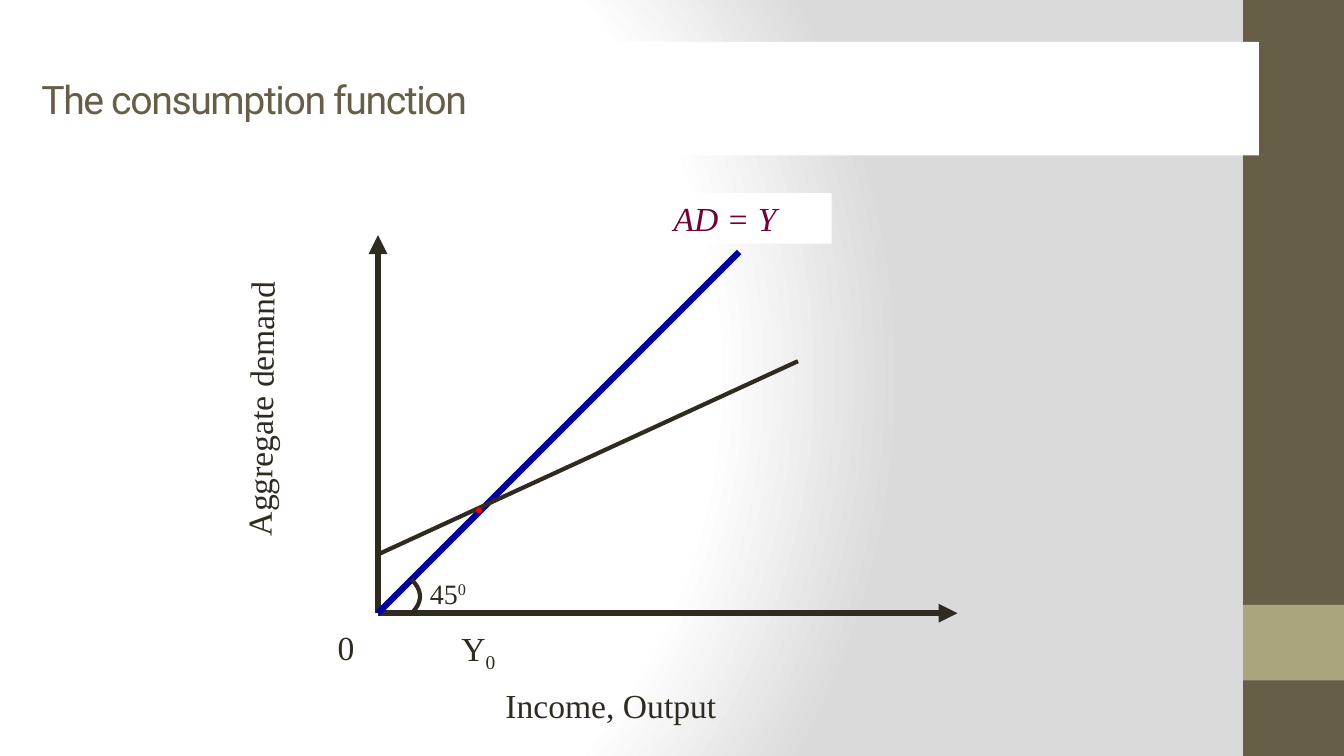
from pptx import Presentation
from pptx.dml.color import RGBColor as RGB
from pptx.enum.shapes import MSO_CONNECTOR as CONN, MSO_SHAPE as SHAPE
from pptx.enum.text import MSO_ANCHOR as ANCHOR, PP_ALIGN as ALIGN
from pptx.oxml import parse_xml
from pptx.oxml.ns import nsdecls, qn
from pptx.util import Pt
from lxml.etree import SubElement

PX = 9525
C = {
    "white": "FFFFFF", "grey": "DADADA", "brown": "675E47", "khaki": "A9A57C",
    "ink": "2F2B20", "blue": "000099", "wine": "700239", "red": "FF0000",
}

prs = Presentation()
prs.slide_width, prs.slide_height = 1280 * PX, 720 * PX
s = prs.slides.add_slide(prs.slide_layouts[6])


def rect(at, fill):
    sp = s.shapes.add_shape(SHAPE.RECTANGLE, *[v * PX for v in at])
    sp.shadow.inherit = False
    sp.fill.solid()
    sp.fill.fore_color.rgb = RGB.from_string(C[fill])
    sp.line.fill.background()
    return sp


def text(content, at, size=24, color="ink", font="Times New Roman", fill=None,
         italic=False, anchor=ANCHOR.TOP, wrap=True, rotation=0, spacing=None,
         index="", baseline=0):
    sp = rect(at, fill) if fill else s.shapes.add_textbox(*[v * PX for v in at])
    sp.rotation = rotation
    tf = sp.text_frame
    tf.word_wrap = wrap
    tf.vertical_anchor = anchor
    p = tf.paragraphs[0]
    p.alignment = ALIGN.LEFT
    for part, shift in ((content, 0), (index, baseline)):
        if not part:
            continue
        r = p.add_run()
        r.text = part
        r.font.size = Pt(size)
        r.font.name = font
        r.font.italic = italic
        r.font.color.rgb = RGB.from_string(C[color])
        rPr = r.font._element
        if shift:
            rPr.set("baseline", str(shift * 1000))
        if spacing:
            rPr.set("spc", str(spacing * 100))


s._element.cSld.insert(0, parse_xml(
    f'<p:bg {nsdecls("p", "a")}><p:bgPr><a:gradFill rotWithShape="1"><a:gsLst>'
    f'<a:gs pos="0"><a:srgbClr val="{C["white"]}"/></a:gs>'
    f'<a:gs pos="75000"><a:srgbClr val="{C["white"]}"/></a:gs>'
    f'<a:gs pos="100000"><a:srgbClr val="{C["grey"]}"/></a:gs></a:gsLst>'
    '<a:path path="circle">'
    '<a:fillToRect l="20000" t="50000" r="100000" b="50000"/></a:path>'
    '</a:gradFill><a:effectLst/></p:bgPr></p:bg>'))

rect((1184, 0, 96, 720), "brown")
rect((1184, 576, 96, 72), "khaki")
text("The consumption function", (30, 40, 1169, 108), size=28, color="brown",
     font="Roboto", fill="white", anchor=ANCHOR.MIDDLE, spacing=-1)

origin = (360, 584)
for start, end, color, width, arrow in (
    (origin, (360, 224), "ink", 4.5, True),
    (origin, (912, 584), "ink", 4.5, True),
    (origin, (704, 240), "blue", 4.5, False),
    ((360, 528), (760, 344), "ink", 3, False),
):
    line = s.shapes.add_connector(CONN.STRAIGHT, *[v * PX for v in start + end])
    line.line.color.rgb = RGB.from_string(C[color])
    line.line.width = Pt(width)
    if arrow:
        SubElement(line.line._get_or_add_ln(), qn("a:tailEnd"), type="triangle")
    SubElement(line._element.spPr, qn("a:effectLst"))

points = [((400 - u * u / 8) * PX, (568 + 2 * u) * PX) for u in range(-8, 9)]
builder = s.shapes.build_freeform(*points[0])
builder.add_line_segments(points[1:], close=False)
angle = builder.convert_to_shape()
angle.shadow.inherit = False
angle.fill.background()
angle.line.color.rgb = RGB.from_string(C["ink"])
angle.line.width = Pt(3)

text("Income, Output", (472, 648, 424, 48))
text("Aggregate demand", (80, 328, 336, 48), rotation=270.7)
text("0", (312, 592, 64, 48))
text("45", (400, 544, 64, 41), size=20, index="0", baseline=30)
text("AD = Y", (632, 184, 160, 48), color="wine", fill="white", italic=True)
text("Y", (430, 593, 56, 48), index="0", baseline=-25)
text(".", (441, 436, 33, 68), size=36, color="red", font="Calibri", wrap=False)

prs.save("out.pptx")
